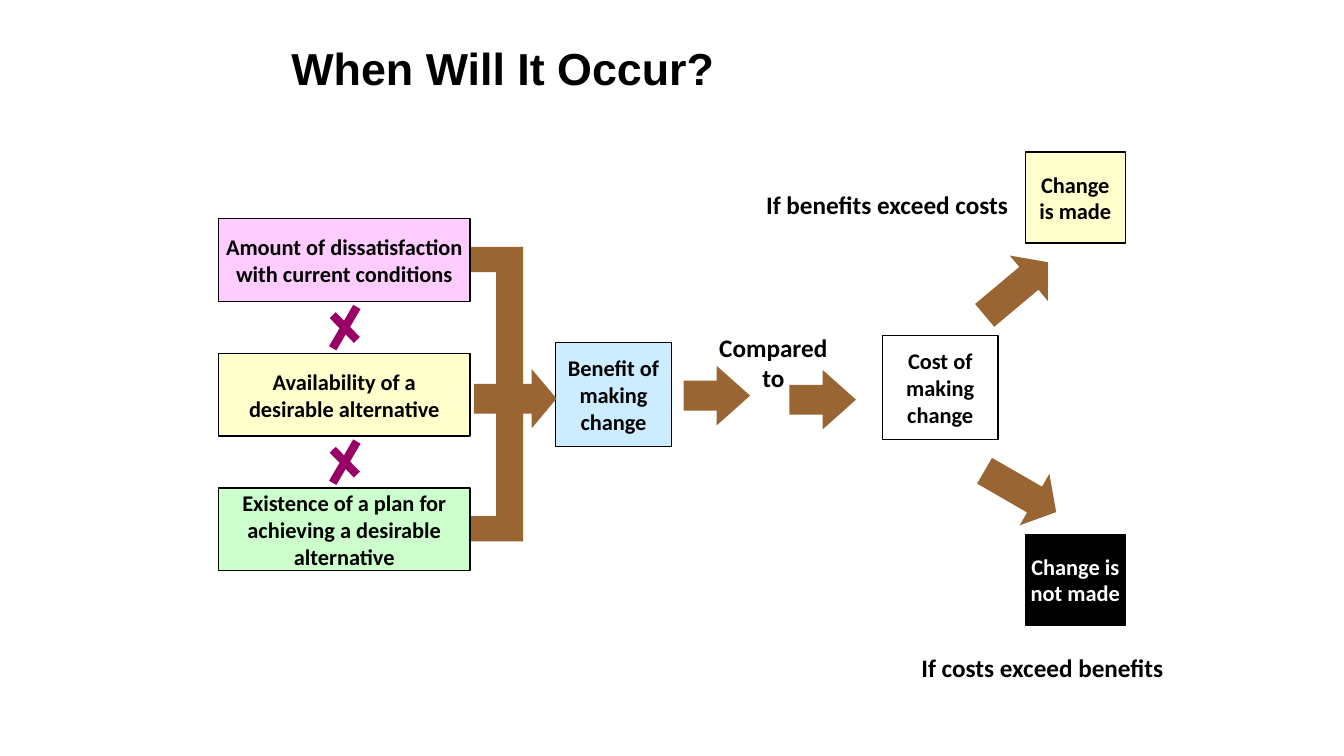
from lxml.etree import SubElement
from pptx import Presentation
from pptx.dml.color import RGBColor
from pptx.enum.shapes import MSO_CONNECTOR, MSO_SHAPE
from pptx.enum.text import MSO_ANCHOR, MSO_AUTO_SIZE, PP_ALIGN
from pptx.oxml.ns import qn
from pptx.util import Inches, Pt

COLORS = {
    "black": "000000", "white": "FFFFFF", "pink": "FFCCFF",
    "yellow": "FFFFCC", "green": "CCFFCC", "blue": "CCECFF",
    "brown": "996633", "purple": "990066",
}
BODY = {"name": "Calibri", "size": Pt(16), "bold": True}
LABEL = {**BODY, "size": Pt(18)}
TITLE = {"name": "Arial", "size": Pt(32), "bold": True}
STEP = (1.15, 1.03)
OUTCOME = (0.99, 0.9)
ARROW_H = 0.59


def rgb(color):
    return RGBColor.from_string(COLORS[color])


def inches(*lengths):
    return [Inches(length) for length in lengths]


def write(tf, lines, font, color="black", align=PP_ALIGN.CENTER):
    for i, line in enumerate(lines):
        p = tf.add_paragraph() if i else tf.paragraphs[0]
        p.alignment = align
        r = p.add_run()
        r.text = line
        for name, value in font.items():
            setattr(r.font, name, value)
        r.font.color.rgb = rgb(color)


def add_block(slide, kind, box, fill, outlined=False):
    sp = slide.shapes.add_shape(kind, *inches(*box))
    sp.shadow.inherit = False
    sp.fill.solid()
    sp.fill.fore_color.rgb = rgb(fill)
    if outlined:
        sp.line.color.rgb = rgb("black")
        sp.line.width = Pt(1)
    else:
        sp.line.fill.background()
    return sp


def add_card(slide, box, lines, fill, color="black"):
    sp = add_block(slide, MSO_SHAPE.RECTANGLE, box, fill, outlined=True)
    tf = sp.text_frame
    tf.word_wrap = False
    tf.vertical_anchor = MSO_ANCHOR.MIDDLE
    write(tf, lines, BODY, color)


def add_label(slide, box, lines, align=PP_ALIGN.LEFT):
    tf = slide.shapes.add_textbox(*inches(*box)).text_frame
    tf.word_wrap = False
    tf.auto_size = MSO_AUTO_SIZE.SHAPE_TO_FIT_TEXT
    write(tf, lines, LABEL, align=align)


def add_arrow(slide, x, y, w, head, rotation=0):
    sp = add_block(slide, MSO_SHAPE.RIGHT_ARROW, (x, y, w, ARROW_H), "brown")
    sp.adjustments[1] = head
    sp.rotation = rotation


def add_times_sign(slide, box):
    x, y, w, h = box
    for top, bottom in ((0.2, 0.8), (1, 0)):
        line = slide.shapes.add_connector(
            MSO_CONNECTOR.STRAIGHT,
            *inches(x, y + top * h, x + w, y + bottom * h))
        line.line.color.rgb = rgb("purple")
        line.line.width = Pt(6)
        SubElement(line._element.spPr, qn("a:effectLst"))


def add_title(slide, box):
    sp = slide.shapes.title
    sp.left, sp.top, sp.width, sp.height = inches(*box)
    tf = sp.text_frame
    tf.auto_size = MSO_AUTO_SIZE.NONE
    tf.vertical_anchor = MSO_ANCHOR.MIDDLE
    tf.margin_left = Inches(1.22)
    write(tf, ["When Will It Occur?"], TITLE, align=PP_ALIGN.LEFT)


def add_factors(slide, box):
    x, y, w, h = box
    factors = [
        (["Amount of dissatisfaction", "with current conditions"], "pink"),
        (["Availability of a", "desirable alternative"], "yellow"),
        (["Existence of a plan for", "achieving a desirable", "alternative"],
         "green"),
    ]
    card_h = 0.82
    pitch = (h - card_h) / (len(factors) - 1)
    for i, (lines, fill) in enumerate(factors):
        top = y + i * pitch
        add_card(slide, (x, top, w, card_h), lines, fill)
        if i:
            add_times_sign(slide, (x + 1.13, top - 0.46, 0.24, 0.41))


def add_bracket(slide, box):
    x, y, w, h = box
    bar = 0.25
    stem = 0.27
    pieces = [
        (x, y, w - stem, bar),
        (x, y + h - bar, w - stem, bar),
        (x + w - stem, y, stem, h),
    ]
    for piece in pieces:
        add_block(slide, MSO_SHAPE.RECTANGLE, piece, "brown")
    add_arrow(slide, x + 0.03, y + 1.21, 0.82, 0.42)


def add_comparison(slide, box):
    x, y, w, h = box
    add_card(slide, (x, y + 0.15, *STEP),
             ["Benefit of", "making", "change"], "blue")
    add_card(slide, (x + w - STEP[0], y + 0.08, *STEP),
             ["Cost of", "making", "change"], "white")
    add_label(slide, (x + 1.52, y, 1.28, 0.7), ["Compared", "to"],
              PP_ALIGN.CENTER)
    for dx, dy in ((1.27, 0.38), (2.32, 0.42)):
        add_arrow(slide, x + dx, y + dy, 0.66, 0.56)


def add_outcomes(slide, box):
    x, y, w, h = box
    card_x = x + 2.67
    add_card(slide, (card_x, y, *OUTCOME), ["Change", "is made"], "yellow")
    add_card(slide, (card_x, y + 3.79, *OUTCOME),
             ["Change is", "not made"], "black", "white")
    add_arrow(slide, x + 2.17, y + 1.06, 0.82, 0.42, 320)
    add_arrow(slide, x + 2.21, y + 3.07, 0.82, 0.42, 30)
    label_w, label_h = 2.62, 0.4
    add_label(slide, (x, y + 0.32, label_w, label_h),
              ["If benefits exceed costs"])
    add_label(slide, (x + w - label_w, y + h - label_h, label_w, label_h),
              ["If costs exceed benefits"])


def main():
    prs = Presentation()
    prs.slide_width, prs.slide_height = inches(13.33, 7.5)
    slide = prs.slides.add_slide(prs.slide_layouts[5])
    add_title(slide, (1.67, 0.17, 10, 1))
    add_comparison(slide, (5.51, 3.25, 4.39, 1.18))
    add_bracket(slide, (4.67, 2.45, 0.52, 2.92))
    add_factors(slide, (2.17, 2.17, 2.49, 3.49))
    add_outcomes(slide, (7.5, 1.51, 4.16, 5.31))
    prs.save("out.pptx")


if __name__ == "__main__":
    main()
